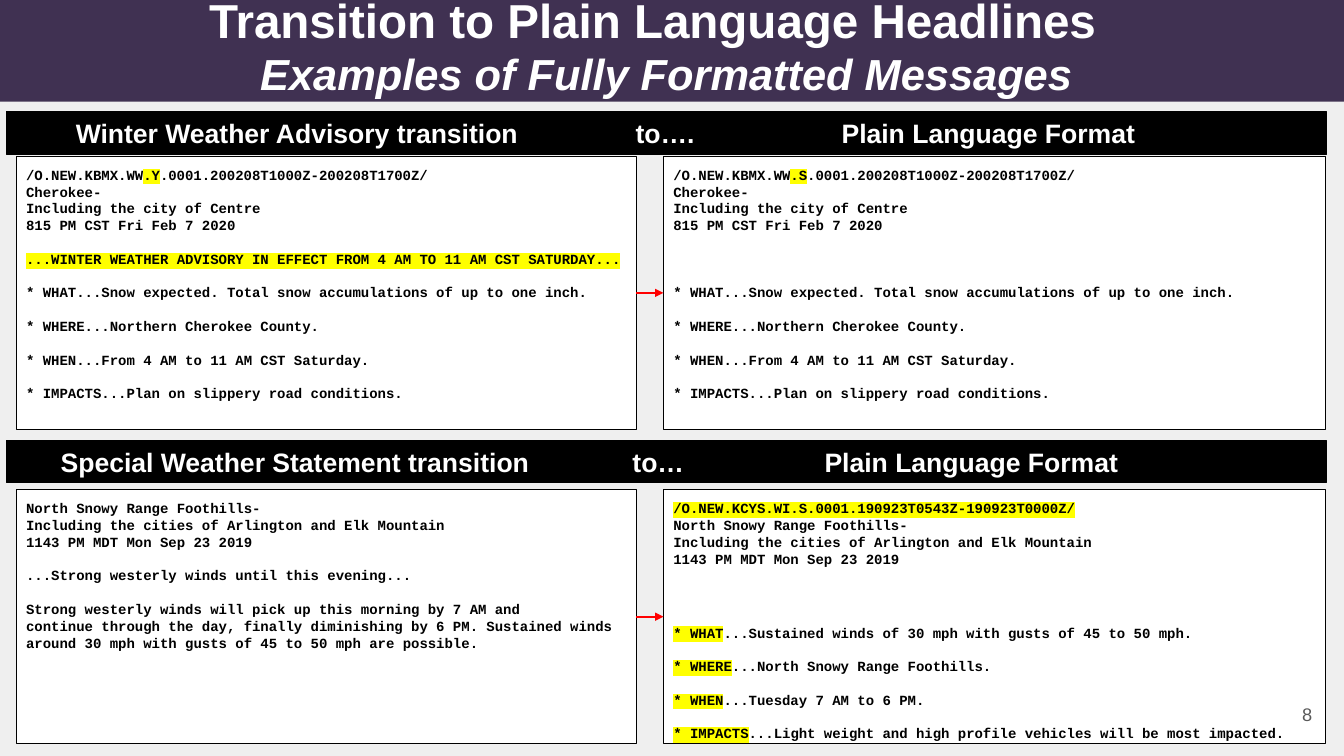
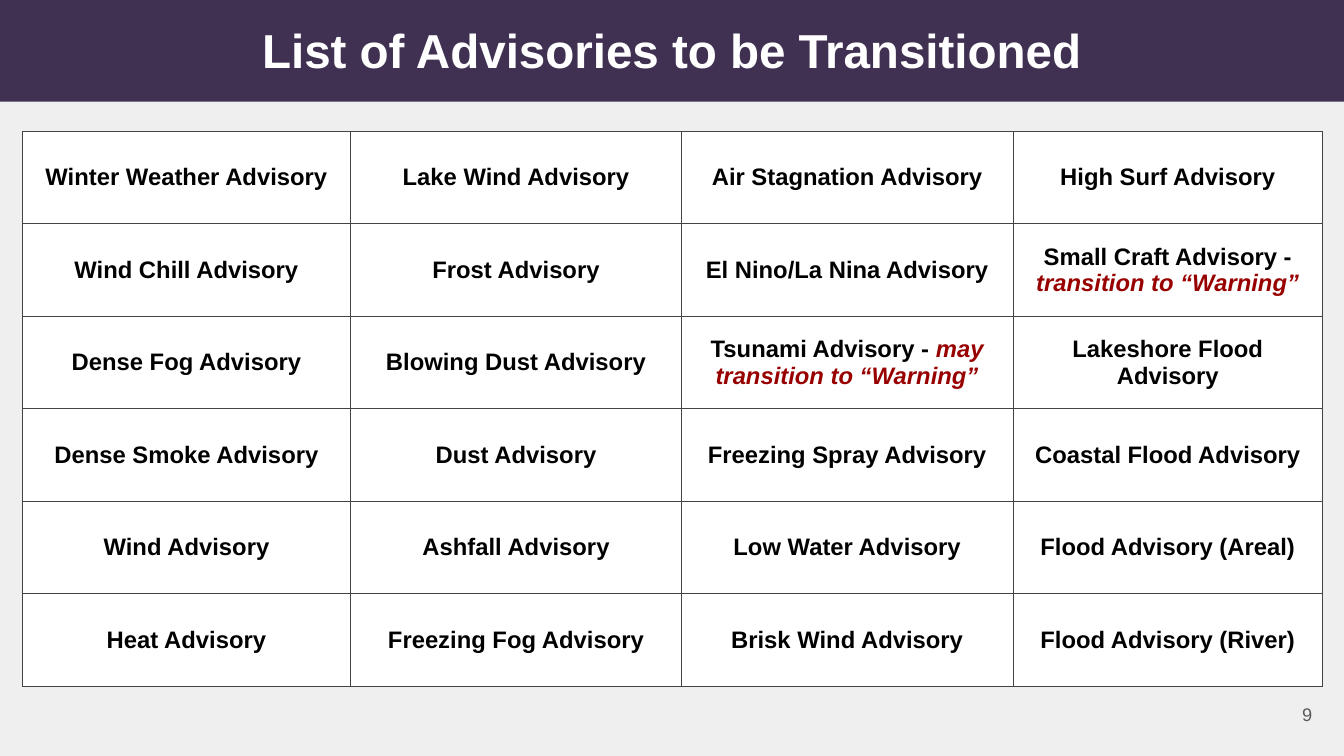
"""Build two slides on the move from weather advisories to plain language headlines."""
from dataclasses import dataclass

from lxml.etree import SubElement
from pptx import Presentation
from pptx.dml.color import RGBColor
from pptx.enum.shapes import MSO_CONNECTOR as Connector, MSO_SHAPE as Preset
from pptx.enum.text import MSO_ANCHOR as Anchor, MSO_AUTO_SIZE as AutoSize, PP_ALIGN as Align
from pptx.oxml.ns import qn
from pptx.util import Cm, Pt


@dataclass(frozen=True)
class Theme:
    sans: str = "Arial"
    mono: str = "Courier New"
    background: str = "EFEFEF"
    purple: str = "403152"
    black: str = "000000"
    white: str = "FFFFFF"
    red: str = "FF0000"
    dark_red: str = "980000"
    yellow: str = "FFFF00"
    grid: str = "434343"
    grey: str = "595959"
    title_size: float = 34
    subtitle_size: float = 31
    band_size: float = 19
    table_size: float = 17
    number_size: float = 13
    message_size: float = 10
    message_line: float = 12


THEME = Theme()
SLIDE_WIDTH, SLIDE_HEIGHT = Cm(33.87), Cm(19.05)
INSET = Cm(0.33)
TITLE_HEIGHT = Cm(2.67)
TITLE_SHIFT = Cm(0.66)
PANEL_COLUMNS = [(Cm(0.41), Cm(15.63)), (Cm(16.72), Cm(16.69))]
COLUMN_WIDTHS = [Cm(8.28), Cm(8.33), Cm(8.36), Cm(7.8)]
ROW_HEIGHT = Cm(2.33)


def winter_message(code, headline, gap):
    """Return (blank lines before, text) pairs; text between bars is highlighted."""
    return [
        (0, f"/O.NEW.KBMX.WW|{code}|.0001.200208T1000Z-200208T1700Z/"),
        (0, "Cherokee-"),
        (0, "Including the city of Centre"),
        (0, "815 PM CST Fri Feb 7 2020"),
        *headline,
        (gap, "* WHAT...Snow expected. Total snow accumulations of up to one inch."),
        (1, "* WHERE...Northern Cherokee County."),
        (1, "* WHEN...From 4 AM to 11 AM CST Saturday."),
        (1, "* IMPACTS...Plan on slippery road conditions."),
    ]


WINTER_HEADLINE = [
    (1, "|...WINTER WEATHER ADVISORY IN EFFECT FROM 4 AM TO 11 AM CST SATURDAY...|")]
FOOTHILLS = [
    (0, "North Snowy Range Foothills-"),
    (0, "Including the cities of Arlington and Elk Mountain"),
    (0, "1143 PM MDT Mon Sep 23 2019"),
]
COMPARISONS = [
    {
        "band": ["Winter Weather Advisory transition", "to….", "Plain Language Format"],
        "tabs": [Cm(1.49), Cm(15.6), Cm(20.79)],
        "band_top": Cm(2.82), "top": Cm(3.94), "height": Cm(6.88),
        "messages": [winter_message(".Y", WINTER_HEADLINE, 1), winter_message(".S", [], 3)],
    },
    {
        "band": ["Special Weather Statement transition", "to…", "Plain Language Format"],
        "tabs": [Cm(1.11), Cm(15.52), Cm(20.36)],
        "band_top": Cm(11.1), "top": Cm(12.34), "height": Cm(6.4),
        "messages": [
            [
                *FOOTHILLS,
                (1, "...Strong westerly winds until this evening..."),
                (1, "Strong westerly winds will pick up this morning by 7 AM and"),
                (0, "continue through the day, finally diminishing by 6 PM. Sustained winds "
                    "around 30 mph with gusts of 45 to 50 mph are possible."),
            ],
            [
                (0, "|/O.NEW.KCYS.WI.S.0001.190923T0543Z-190923T0000Z/|"),
                *FOOTHILLS,
                (3.4, "|* WHAT|...Sustained winds of 30 mph with gusts of 45 to 50 mph."),
                (1, "|* WHERE|...North Snowy Range Foothills."),
                (1, "|* WHEN|...Tuesday 7 AM to 6 PM."),
                (1, "|* IMPACTS|...Light weight and high profile vehicles will be most impacted."),
            ],
        ],
    },
]
ADVISORIES = [
    ["Winter Weather Advisory", "Lake Wind Advisory", "Air Stagnation Advisory",
     "High Surf Advisory"],
    ["Wind Chill Advisory", "Frost Advisory", "El Nino/La Nina Advisory",
     "Small Craft Advisory - |transition to “Warning”|"],
    ["Dense Fog Advisory", "Blowing Dust Advisory",
     "Tsunami Advisory - |may transition to “Warning”|", "Lakeshore Flood Advisory"],
    ["Dense Smoke Advisory", "Dust Advisory", "Freezing Spray Advisory",
     "Coastal Flood Advisory"],
    ["Wind Advisory", "Ashfall Advisory", "Low Water Advisory", "Flood Advisory (Areal)"],
    ["Heat Advisory", "Freezing Fog Advisory", "Brisk Wind Advisory", "Flood Advisory (River)"],
]


def rgb(color):
    return RGBColor.from_string(color)


def style(paragraph, size, color, align=Align.LEFT, name=THEME.sans, bold=True):
    paragraph.alignment = align
    font = paragraph.font
    font.name, font.size, font.bold = name, Pt(size), bold
    font.color.rgb = rgb(color)


def highlight(run):
    mark = SubElement(run._r.get_or_add_rPr(), qn("a:highlight"))
    SubElement(mark, qn("a:srgbClr"), val=THEME.yellow)


def emphasize(run):
    run.font.italic = True
    run.font.color.rgb = rgb(THEME.dark_red)


def add_runs(paragraph, text, accent):
    for index, part in enumerate(text.split("|")):
        if part:
            run = paragraph.add_run()
            run.text = part
            if index % 2:
                accent(run)


def paragraphs_for(frame, items):
    for index, item in enumerate(items):
        yield (frame.add_paragraph() if index else frame.paragraphs[0]), item


def set_margins(target, margin):
    target.margin_left = target.margin_right = margin
    target.margin_top = target.margin_bottom = margin


def add_rectangle(slide, left, top, width, height, fill, line=None):
    shape = slide.shapes.add_shape(Preset.RECTANGLE, left, top, width, height)
    shape.shadow.inherit = False
    shape.fill.solid()
    shape.fill.fore_color.rgb = rgb(fill)
    if line:
        shape.line.color.rgb = rgb(line)
        shape.line.width = Pt(0.75)
    else:
        shape.line.fill.background()
    return shape


def add_title(slide, lines, left, top):
    title = slide.shapes.title
    title.left, title.top, title.width, title.height = left, top, SLIDE_WIDTH, TITLE_HEIGHT
    frame = title.text_frame
    frame.word_wrap, frame.auto_size = True, AutoSize.NONE
    frame.vertical_anchor = Anchor.MIDDLE
    set_margins(frame, INSET)
    for paragraph, (text, size, italic) in paragraphs_for(frame, lines):
        paragraph.text = text
        style(paragraph, size, THEME.white, Align.CENTER)
        paragraph.font.italic = italic
    return frame


def add_number(slide, number):
    frame = slide.shapes.add_textbox(Cm(31.37), Cm(17.27), Cm(2.03), Cm(1.45)).text_frame
    frame.word_wrap, frame.vertical_anchor = True, Anchor.MIDDLE
    set_margins(frame, INSET)
    frame.text = str(number)
    style(frame.paragraphs[0], THEME.number_size, THEME.grey, Align.RIGHT, bold=False)


def add_band(slide, comparison):
    band = add_rectangle(slide, Cm(0.17), comparison["band_top"], Cm(33.25), Cm(1.07),
                         THEME.black, THEME.black)
    band.text_frame.vertical_anchor = Anchor.MIDDLE
    paragraph = band.text_frame.paragraphs[0]
    paragraph.text = "".join(f"\t{label}" for label in comparison["band"])
    tab_list = SubElement(paragraph._p.get_or_add_pPr(), qn("a:tabLst"))
    for position in comparison["tabs"]:
        SubElement(tab_list, qn("a:tab"), pos=str(int(position)), algn="l")
    style(paragraph, THEME.band_size, THEME.white)


def add_message(slide, column, comparison, message):
    left, width = column
    panel = add_rectangle(slide, left, comparison["top"], width, comparison["height"],
                          THEME.white, THEME.black)
    frame = panel.text_frame
    frame.word_wrap, frame.vertical_anchor = True, Anchor.TOP
    set_margins(frame, Cm(0.25))
    for paragraph, (blank_lines, text) in paragraphs_for(frame, message):
        add_runs(paragraph, text, highlight)
        style(paragraph, THEME.message_size, THEME.black, name=THEME.mono)
        if blank_lines:
            paragraph.space_before = Pt(blank_lines * THEME.message_line)


def add_arrow(slide, comparison):
    (left, width), (end, _) = PANEL_COLUMNS
    middle = comparison["top"] + comparison["height"] // 2
    arrow = slide.shapes.add_connector(Connector.STRAIGHT, left + width, middle, end, middle)
    arrow.line.color.rgb = rgb(THEME.red)
    arrow.line.width = Pt(1.5)
    properties = arrow.element.spPr
    SubElement(properties.find(qn("a:ln")), qn("a:tailEnd"), type="triangle")
    SubElement(properties, qn("a:effectLst"))


def add_borders(cell):
    properties = cell._tc.get_or_add_tcPr()
    for side in ("a:lnL", "a:lnR", "a:lnT", "a:lnB"):
        line = SubElement(properties, qn(side), w=str(int(Pt(0.75))))
        SubElement(SubElement(line, qn("a:solidFill")), qn("a:srgbClr"), val=THEME.grid)


def add_advisory_table(slide):
    table = slide.shapes.add_table(
        len(ADVISORIES), len(COLUMN_WIDTHS), Cm(0.56), Cm(3.31),
        sum(COLUMN_WIDTHS), ROW_HEIGHT * len(ADVISORIES)).table
    table.first_row = table.horz_banding = False
    for column, width in zip(table.columns, COLUMN_WIDTHS):
        column.width = width
    for row, advisories in zip(table.rows, ADVISORIES):
        row.height = ROW_HEIGHT
        for cell, text in zip(row.cells, advisories):
            add_borders(cell)
            cell.fill.solid()
            cell.fill.fore_color.rgb = rgb(THEME.white)
            cell.vertical_anchor = Anchor.MIDDLE
            set_margins(cell, INSET)
            paragraph = cell.text_frame.paragraphs[0]
            add_runs(paragraph, text, emphasize)
            style(paragraph, THEME.table_size, THEME.black, Align.CENTER)


def prepare_layout(layout, slide):
    layout.background.fill.solid()
    layout.background.fill.fore_color.rgb = rgb(THEME.background)
    header = add_rectangle(slide, Cm(-0.05), Cm(-0.13), Cm(33.96), Cm(2.69), THEME.purple)
    layout.shapes.element.insert(2, header.element)


def build_examples(slide):
    frame = add_title(slide, [
        ("Transition to Plain Language Headlines", THEME.title_size, False),
        ("Examples of Fully Formatted Messages", THEME.subtitle_size, True),
    ], Cm(-0.15), Cm(-0.2))
    frame.margin_right = INSET + TITLE_SHIFT
    frame.paragraphs[1]._p.get_or_add_pPr().set("marL", str(int(TITLE_SHIFT)))
    for comparison in COMPARISONS:
        add_band(slide, comparison)
        for column, message in zip(PANEL_COLUMNS, comparison["messages"]):
            add_message(slide, column, comparison, message)
        add_arrow(slide, comparison)
    add_number(slide, 8)


def build_list(slide):
    add_title(slide, [("List of Advisories to be Transitioned", THEME.title_size, False)],
              Cm(0), Cm(-0.1))
    add_advisory_table(slide)
    add_number(slide, 9)


def main():
    presentation = Presentation()
    presentation.slide_width, presentation.slide_height = SLIDE_WIDTH, SLIDE_HEIGHT
    layout = presentation.slide_layouts.get_by_name("Title Only")
    examples, advisories = (presentation.slides.add_slide(layout) for _ in range(2))
    prepare_layout(layout, examples)
    build_examples(examples)
    build_list(advisories)
    presentation.save("out.pptx")


if __name__ == "__main__":
    main()
